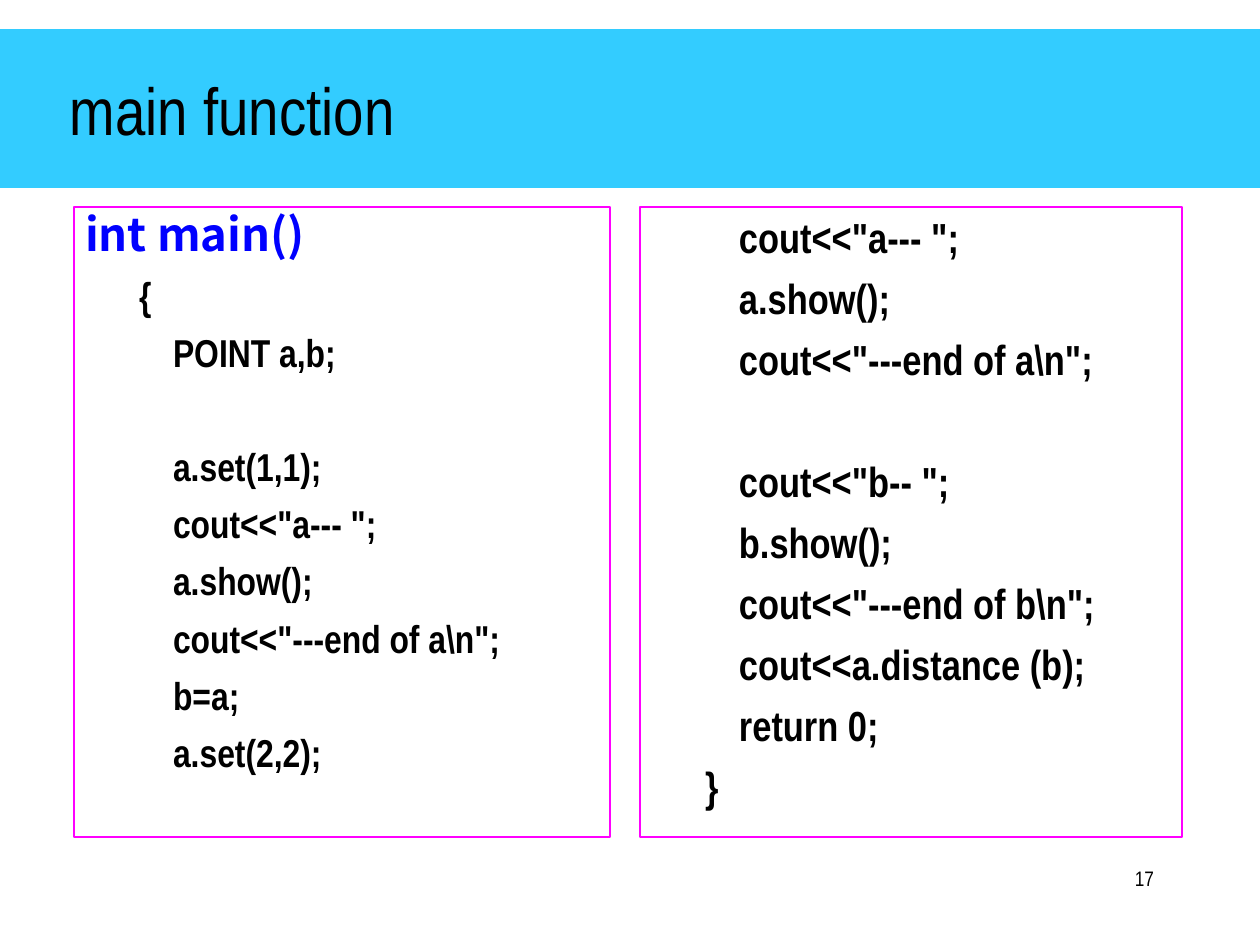
from pptx import Presentation, util as u
from pptx.dml.color import RGBColor
from pptx.enum import shapes, text

PX = 914400 / 126
COLORS = {"banner": "33CCFF", "frame": "FF00FF", "keyword": "0000FF", "ink": "000000"}
CODE_FONT = "Arial Narrow"
HEAD_FONT = "Noto Sans CJK SC"
BRACE_INDENT, BODY_INDENT = 54, 88

# An empty string stands for a gap between two groups of statements
LEFT_CODE = ["{", "POINT a,b;", "", "a.set(1,1);", 'cout<<"a--- ";', "a.show();",
             r'cout<<"---end of a\n";', "b=a;", "a.set(2,2);"]
RIGHT_CODE = ['cout<<"a--- ";', "a.show();", r'cout<<"---end of a\n";', "",
              'cout<<"b-- ";', "b.show();", r'cout<<"---end of b\n";',
              "cout<<a.distance (b);", "return 0;", "}"]


def px(length):
    return u.Emu(round(length * PX))


def color(name):
    return RGBColor.from_string(COLORS[name])


def place(shape, box):
    shape.left, shape.top, shape.width, shape.height = map(px, box)


def set_frame(frame, anchor=text.MSO_ANCHOR.TOP):
    frame.word_wrap = True
    frame.auto_size = text.MSO_AUTO_SIZE.NONE
    frame.vertical_anchor = anchor
    frame.margin_left = frame.margin_right = px(11)
    frame.margin_top = frame.margin_bottom = px(5)


def write(frame, words, size, font=CODE_FONT, ink="ink", bold=False, indent=0,
          before=0, spacing=1.0, align=text.PP_ALIGN.LEFT):
    """Fill the empty first paragraph, or add one after the others."""
    para = frame.paragraphs[0] if not frame.text else frame.add_paragraph()
    para.alignment = align
    para.space_before = u.Pt(before)
    para.line_spacing = spacing
    para._p.get_or_add_pPr().set("marL", str(px(indent)))
    span = para.add_run()
    span.text = words
    span.font.size, span.font.name, span.font.bold = u.Pt(size), font, bold
    span.font.color.rgb = color(ink)


def add_box(page, box, fill=None, line=None):
    shape = page.shapes.add_shape(shapes.MSO_SHAPE.RECTANGLE, *map(px, box))
    shape.shadow.inherit = False
    if fill:
        shape.fill.solid()
        shape.fill.fore_color.rgb = color(fill)
    else:
        shape.fill.background()
    if line:
        shape.line.color.rgb = color(line)
        shape.line.width = u.Pt(0.75)
    else:
        shape.line.fill.background()
    return shape


def add_header(page, box, words):
    left, top, width, height = box
    banner = add_box(page, box, fill="banner")
    title = page.shapes.title
    title.element.addprevious(banner.element)
    place(title, (left + 59, top, width - 189, height))
    set_frame(title.text_frame, text.MSO_ANCHOR.MIDDLE)
    write(title.text_frame, words, 38)


def add_code(page, box, lines, size, heading=None):
    frame = add_box(page, box, line="frame").text_frame
    set_frame(frame)
    if heading:
        write(frame, heading, 25.9, HEAD_FONT, "keyword", bold=True, spacing=0.9)
    before = 6
    for line in lines:
        if not line:
            before += 6 + 1.2 * size
            continue
        indent = BRACE_INDENT if line in "{}" else BODY_INDENT
        write(frame, line, size, bold=True, indent=indent, before=before)
        before = 6


def add_page_number(page, box, number):
    frame = page.shapes.add_textbox(*map(px, box)).text_frame
    set_frame(frame)
    write(frame, number, 12, align=text.PP_ALIGN.RIGHT)


def main():
    deck = Presentation()
    deck.slide_width, deck.slide_height = px(1260), px(945)
    page = deck.slides.add_slide(deck.slide_layouts[5])
    add_header(page, (0, 29, 1260, 159), "main function")
    add_code(page, (74, 207, 536, 630), LEFT_CODE, 22.2, heading="int main()")
    add_code(page, (640, 207, 542, 630), RIGHT_CODE, 24)
    add_page_number(page, (903, 861, 262, 63), "17")
    deck.save("out.pptx")


if __name__ == "__main__":
    main()
